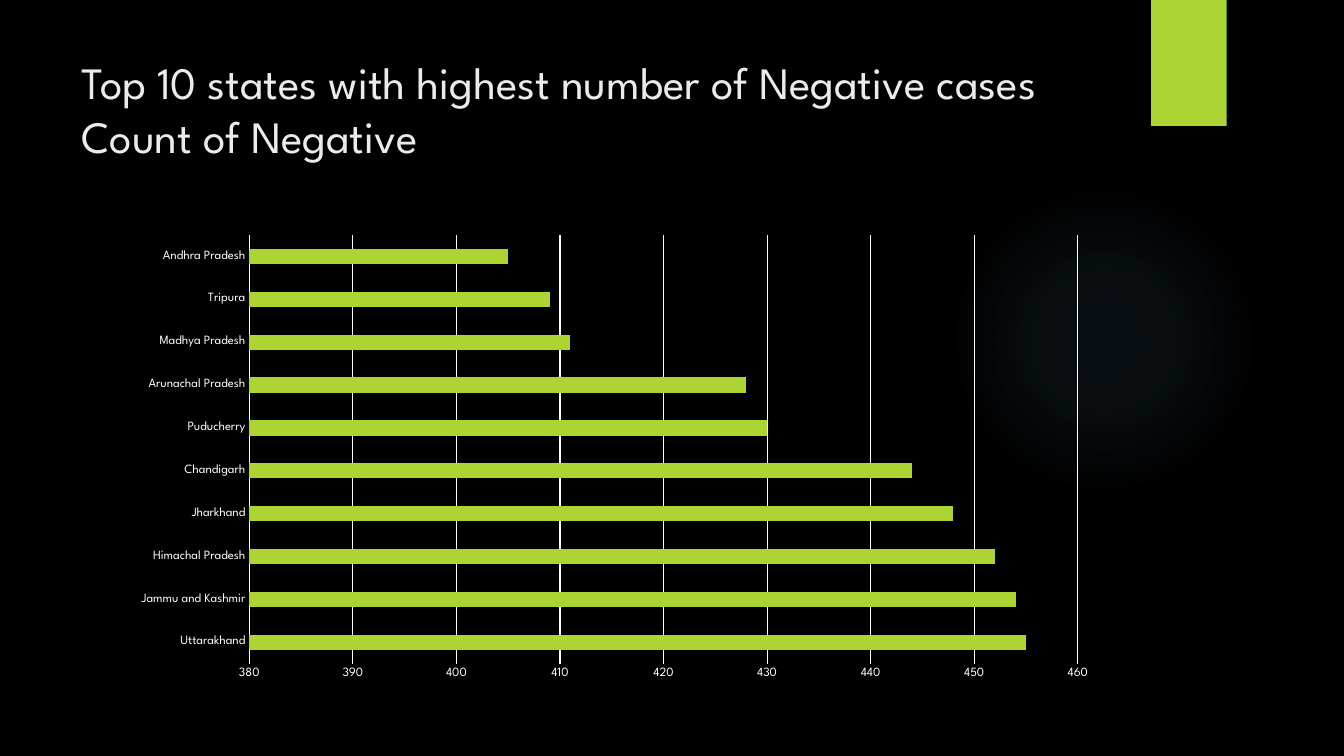
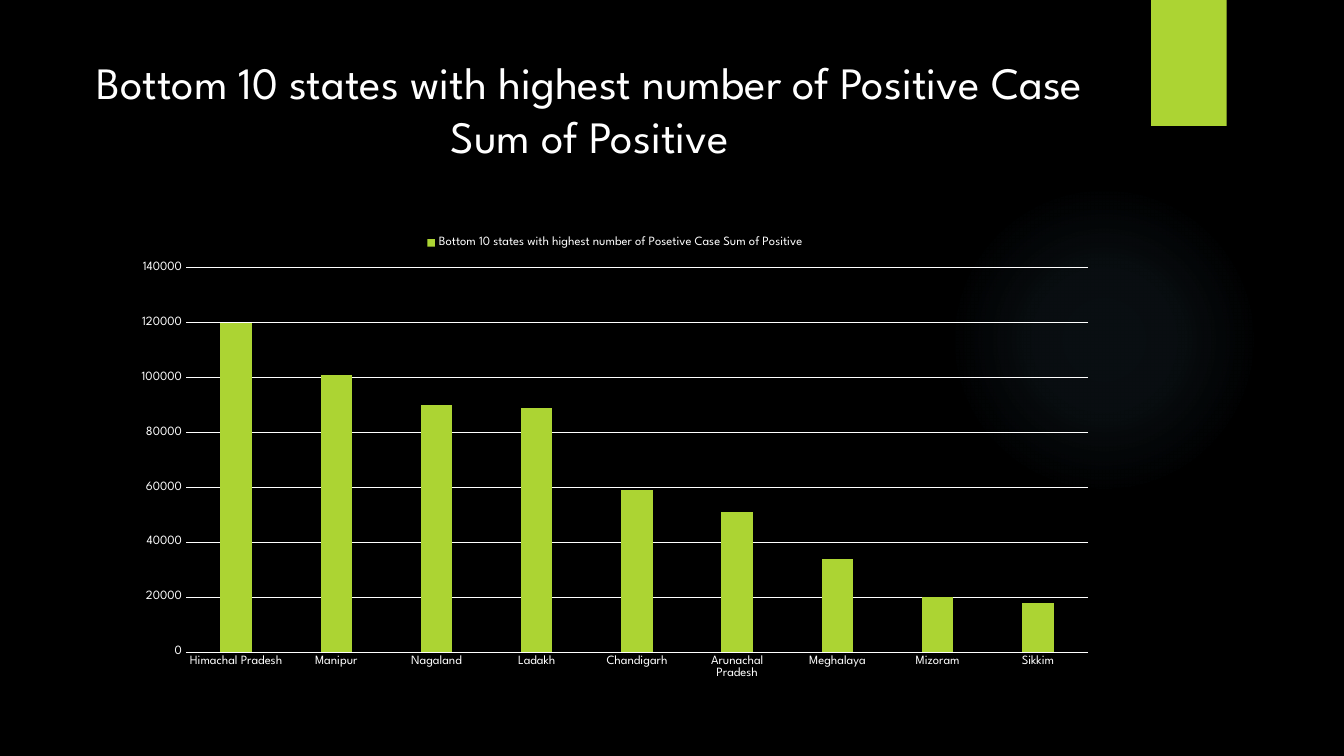
from lxml import etree
from pptx import Presentation
from pptx import util as u
from pptx.chart import data
from pptx.dml.color import RGBColor
from pptx.enum import chart as ch, shapes, text
from pptx.oxml import ns

FONT = "League Spartan"
BLACK, WHITE, PALE, LIME, GLOW = "000000", "FFFFFF", "EBEBEB", "ACD433", "7AC4F0"


def paint(target, colour):
    target.solid()
    target.fore_color.rgb = RGBColor.from_string(colour)


def style_font(font, size, colour):
    font.name = FONT
    font.size = u.Pt(size)
    font.bold = False
    paint(font.fill, colour)


pages = [
    dict(
        title="Top 10 states with highest number of Negative cases Count of Negative",
        colour=PALE,
        align=text.PP_ALIGN.LEFT,
        kind=ch.XL_CHART_TYPE.BAR_CLUSTERED,
        series="Series 1",
        counts={
            "Uttarakhand": 455, "Jammu and Kashmir": 454, "Himachal Pradesh": 452,
            "Jharkhand": 448, "Chandigarh": 444, "Puducherry": 430,
            "Arunachal Pradesh": 428, "Madhya Pradesh": 411, "Tripura": 409,
            "Andhra Pradesh": 405,
        },
        scale=(380, 460, 10),
        gap=182,
        overlap=0,
        legend=False,
    ),
    dict(
        title="Bottom 10 states with highest number of Positive Case Sum of Positive",
        colour=WHITE,
        align=text.PP_ALIGN.CENTER,
        kind=ch.XL_CHART_TYPE.COLUMN_CLUSTERED,
        series="Bottom 10 states with highest number of Posetive Case Sum of Positive",
        counts={
            "Himachal Pradesh": 120000, "Manipur": 101000, "Nagaland": 90000,
            "Ladakh": 89000, "Chandigarh": 59000, "Arunachal Pradesh": 51000,
            "Meghalaya": 34000, "Mizoram": 20000, "Sikkim": 18000,
        },
        scale=(0, 140000, 20000),
        gap=219,
        overlap=-27,
        legend=True,
    ),
]

prs = Presentation()
prs.slide_width, prs.slide_height = u.Inches(40 / 3), u.Inches(7.5)
layout = prs.slide_layouts[5]
paint(prs.slide_master.background.fill, BLACK)

for page in pages:
    slide = prs.slides.add_slide(layout)

    title = slide.shapes.title
    title.left, title.top = u.Inches(0.71), u.Inches(0.49)
    title.width, title.height = u.Inches(10.29), u.Inches(1.53)
    frame = title.text_frame
    frame.word_wrap = True
    frame.auto_size = text.MSO_AUTO_SIZE.NONE
    frame.vertical_anchor = text.MSO_ANCHOR.TOP
    heading = frame.paragraphs[0]
    heading.alignment = page["align"]
    words = heading.add_run()
    words.text = page["title"]
    style_font(words.font, 32, page["colour"])

    cases = data.CategoryChartData()
    cases.categories = list(page["counts"])
    cases.add_series(page["series"], list(page["counts"].values()))
    chart = slide.shapes.add_chart(
        page["kind"], u.Inches(1.21), u.Inches(2.24), u.Inches(9.78), u.Inches(4.59), cases
    ).chart
    style_font(chart.font, 10, WHITE)
    chart.has_title = False
    chart.has_legend = page["legend"]
    if page["legend"]:
        chart.legend.position = ch.XL_LEGEND_POSITION.TOP
        chart.legend.include_in_layout = False
        style_font(chart.legend.font, 9, WHITE)

    plot = chart.plots[0]
    plot.vary_by_categories = False
    plot.gap_width, plot.overlap = page["gap"], page["overlap"]
    paint(plot.series[0].format.fill, LIME)

    states, numbers = chart.category_axis, chart.value_axis
    for axis in (states, numbers):
        axis.major_tick_mark = axis.minor_tick_mark = ch.XL_TICK_MARK.NONE
        style_font(axis.tick_labels.font, 9, WHITE)
    numbers.minimum_scale, numbers.maximum_scale, numbers.major_unit = page["scale"]
    numbers.has_major_gridlines = True
    numbers.format.line.fill.background()
    for line in (states.format.line, numbers.major_gridlines.format.line):
        line.width = u.Pt(0.75)
        paint(line.fill, WHITE)

canvas = prs.slides[0].shapes
glow = canvas.add_shape(
    shapes.MSO_SHAPE.OVAL, u.Inches(9.41), u.Inches(1.83), u.Inches(3.08), u.Inches(3.08)
)
tab = canvas.add_shape(
    shapes.MSO_SHAPE.RECTANGLE, u.Inches(11.42), 0, u.Inches(0.75), u.Inches(1.25)
)
paint(tab.fill, LIME)
stops = "".join(
    f'<a:gs pos="{place * 1000}"><a:srgbClr val="{GLOW}">'
    f'<a:alpha val="{alpha * 1000}"/></a:srgbClr></a:gs>'
    for place, alpha in ((0, 7), (36, 6), (69, 0))
)
gradient = etree.fromstring(
    f'<a:gradFill {ns.nsdecls("a")}><a:gsLst>{stops}</a:gsLst><a:path path="circle">'
    '<a:fillToRect l="50000" t="50000" r="50000" b="50000"/></a:path></a:gradFill>'
)
glow.element.spPr.find(ns.qn("a:prstGeom")).addnext(gradient)
for order, decoration in enumerate((glow, tab)):
    decoration.shadow.inherit = False
    decoration.line.fill.background()
    layout.shapes.element.insert(2 + order, decoration.element)

prs.save("out.pptx")
